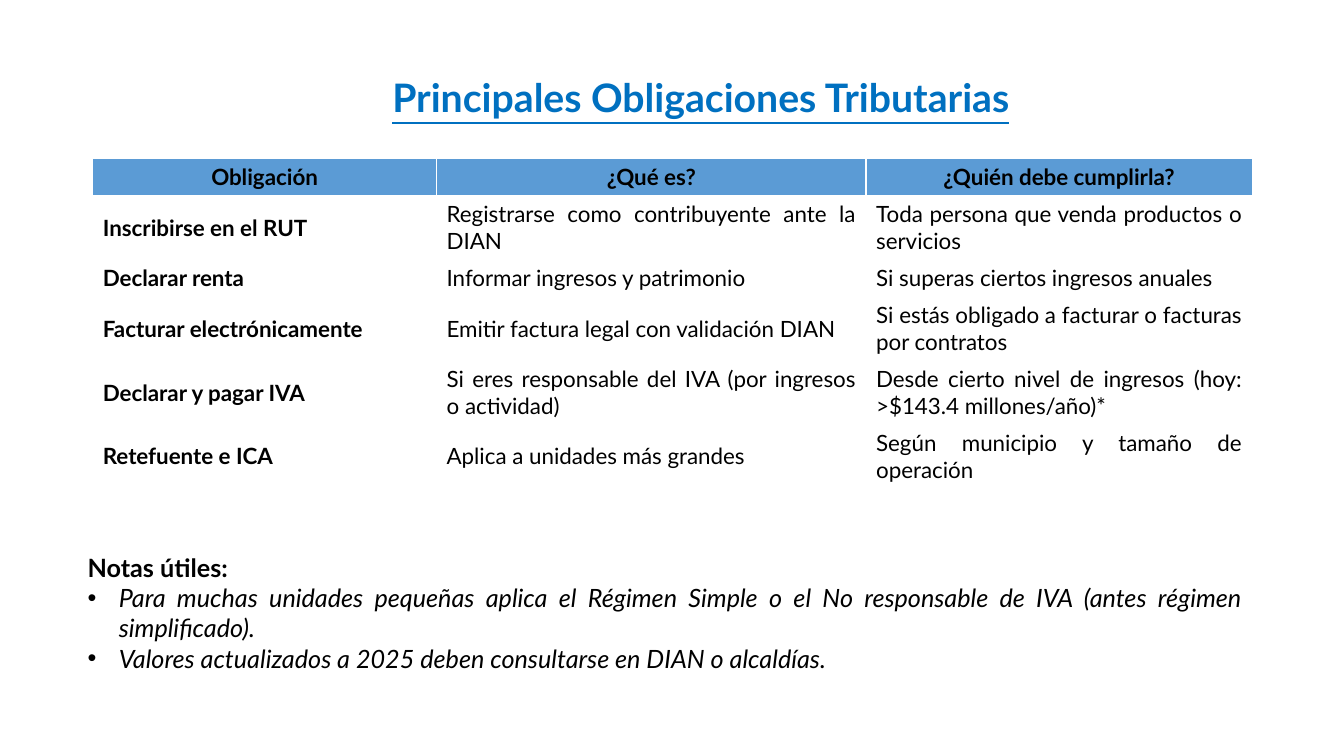
from dataclasses import dataclass

from lxml.etree import SubElement
from pptx import Presentation
from pptx.dml.color import RGBColor
from pptx.enum.text import MSO_ANCHOR, MSO_AUTO_SIZE, PP_ALIGN
from pptx.oxml.ns import qn
from pptx.util import Inches, Pt


@dataclass(frozen=True)
class Theme:
    face: str = "Lato"
    blue: RGBColor = RGBColor(0x00, 0x70, 0xC0)
    band: RGBColor = RGBColor(0x5B, 0x9B, 0xD5)
    ink: RGBColor = RGBColor(0, 0, 0)
    head: int = 28
    note: int = 18
    cell: int = 16


THEME = Theme()
COLS = (3.41, 4.26, 3.83)
ONE, TWO = 0.37, 0.63
DUTIES = (
    (ONE, "Obligación", "¿Qué es?", "¿Quién debe cumplirla?"),
    (TWO, "Inscribirse en el RUT",
     "Registrarse como contribuyente ante la DIAN",
     "Toda persona que venda productos o servicios"),
    (ONE, "Declarar renta", "Informar ingresos y patrimonio",
     "Si superas ciertos ingresos anuales"),
    (TWO, "Facturar electrónicamente",
     "Emitir factura legal con validación DIAN",
     "Si estás obligado a facturar o facturas por contratos"),
    (TWO, "Declarar y pagar IVA",
     "Si eres responsable del IVA (por ingresos o actividad)",
     "Desde cierto nivel de ingresos (hoy: >$143.4 millones/año)*"),
    (TWO, "Retefuente e ICA", "Aplica a unidades más grandes",
     "Según municipio y tamaño de operación"),
)
NOTES = (
    "Para muchas unidades pequeñas aplica el Régimen Simple o el "
    "No responsable de IVA (antes régimen simplificado).",
    "Valores actualizados a 2025 deben consultarse en DIAN o alcaldías.",
)


def write(para, text, size, align, color=THEME.ink, **style):
    para.alignment = align
    run = para.add_run()
    run.text = text
    look = {"name": THEME.face, "size": Pt(size), **style}
    for key, value in look.items():
        setattr(run.font, key, value)
    run.font.color.rgb = color


def add_box(slide, *place):
    box = slide.shapes.add_textbox(*map(Inches, place))
    frame = box.text_frame
    frame.word_wrap = True
    frame.auto_size = MSO_AUTO_SIZE.SHAPE_TO_FIT_TEXT
    return frame


def add_dot(para):
    """Give the paragraph a bullet with a hanging indent."""
    props = para._p.get_or_add_pPr()
    indent = Inches(0.31)
    props.set("marL", str(indent))
    props.set("indent", str(-indent))
    SubElement(props, qn("a:buFont"), typeface="Arial")
    SubElement(props, qn("a:buChar"), char="•")


def add_grid(slide, left, top):
    high = sum(row[0] for row in DUTIES)
    place = map(Inches, (left, top, sum(COLS), high))
    grid = slide.shapes.add_table(len(DUTIES), len(COLS), *place).table
    grid.horz_banding = False
    for col, width in zip(grid.columns, COLS):
        col.width = Inches(width)
    for r, (height, *texts) in enumerate(DUTIES):
        grid.rows[r].height = Inches(height)
        for c, text in enumerate(texts):
            cell = grid.cell(r, c)
            cell.vertical_anchor = MSO_ANCHOR.MIDDLE
            if r == 0:
                cell.fill.solid()
                cell.fill.fore_color.rgb = THEME.band
                align = PP_ALIGN.CENTER
            else:
                cell.fill.background()
                align = PP_ALIGN.JUSTIFY if c else PP_ALIGN.LEFT
            write(cell.text_frame.paragraphs[0], text, THEME.cell, align,
                  bold=r == 0 or c == 0)


def add_notes(slide):
    frame = add_box(slide, 0.77, 5.43, 11.65, 1.31)
    write(frame.paragraphs[0], "Notas útiles:", THEME.note,
          PP_ALIGN.JUSTIFY, bold=True)
    for text in NOTES:
        para = frame.add_paragraph()
        add_dot(para)
        write(para, text, THEME.note, PP_ALIGN.JUSTIFY, italic=True)


def main():
    deck = Presentation()
    deck.slide_width, deck.slide_height = Inches(13.33), Inches(7.5)
    slide = deck.slides.add_slide(deck.slide_layouts[6])
    title = add_box(slide, 3.42, 0.68, 7.06, 0.57)
    write(title.paragraphs[0], "Principales Obligaciones Tributarias",
          THEME.head, PP_ALIGN.CENTER, THEME.blue, bold=True, underline=True)
    add_grid(slide, 0.92, 1.57)
    add_notes(slide)
    deck.save("out.pptx")


if __name__ == "__main__":
    main()
